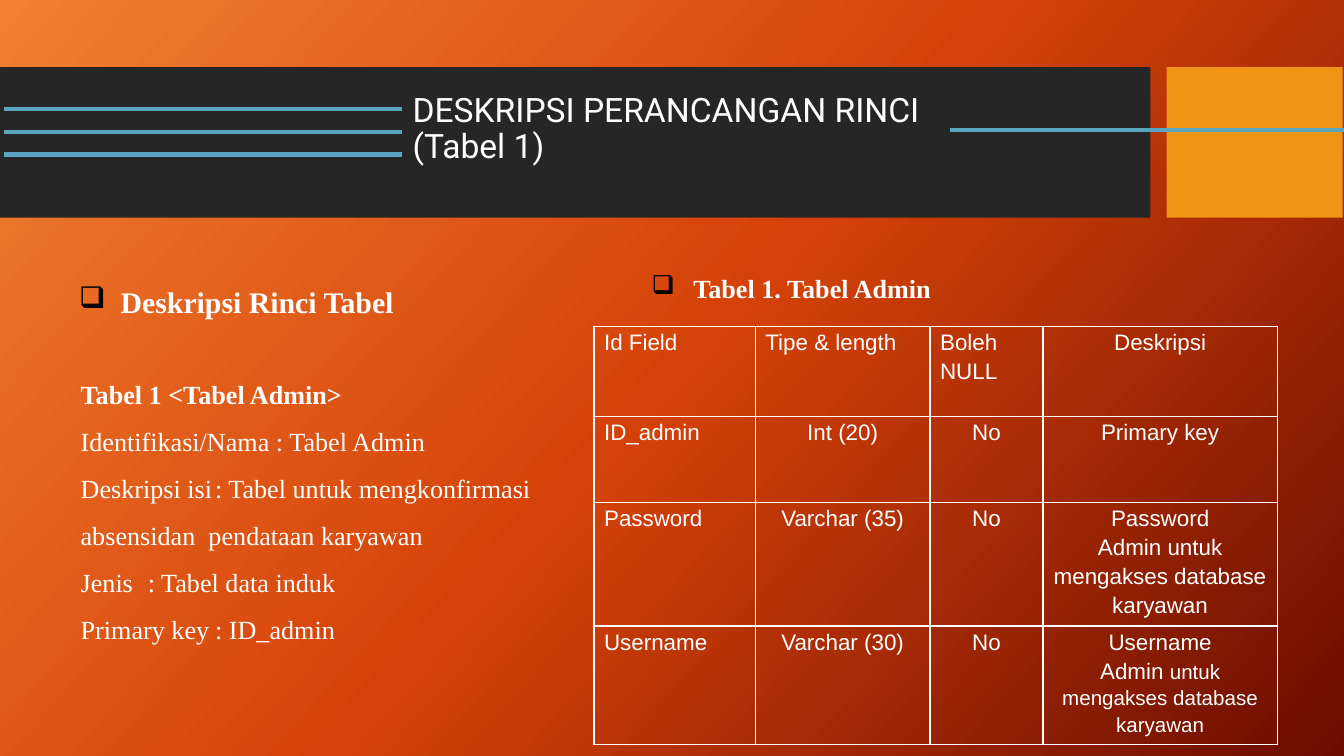
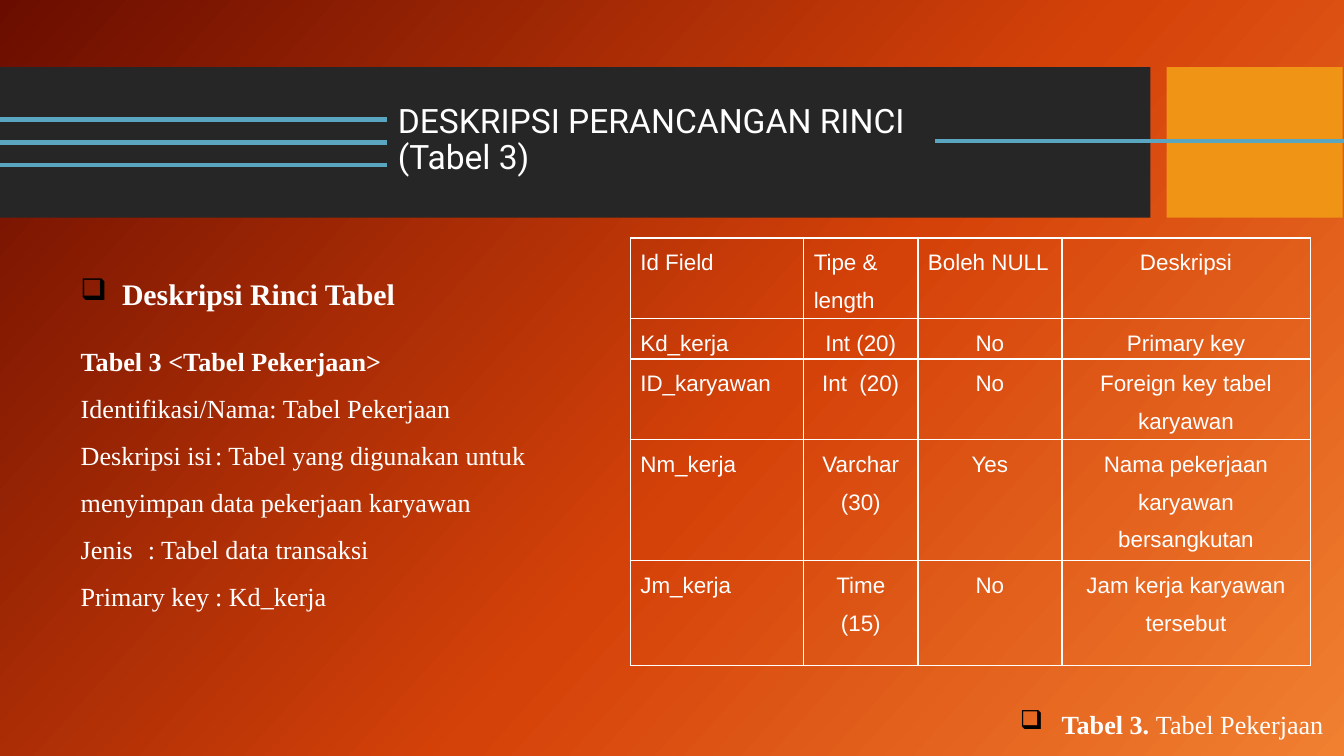
import copy

import lxml.etree
import pptx
import pptx.dml.color
import pptx.enum.shapes
import pptx.enum.text
import pptx.oxml.ns
import pptx.util

RGBColor = pptx.dml.color.RGBColor
ALIGN = pptx.enum.text.PP_ALIGN
ANCHOR = pptx.enum.text.MSO_ANCHOR
FIT = pptx.enum.text.MSO_AUTO_SIZE
qn = pptx.oxml.ns.qn

WHITE = RGBColor(0xFF, 0xFF, 0xFF)
CHARCOAL = RGBColor(0x26, 0x26, 0x26)
AMBER = RGBColor(0xF0, 0x94, 0x15)
SKY = RGBColor(0x5A, 0xA6, 0xC0)
MAROON = RGBColor(0x6A, 0x0D, 0x00)
RUST = RGBColor(0xD5, 0x42, 0x09)
ORANGE = RGBColor(0xF1, 0x80, 0x31)
SERIF = "Times New Roman"
HARD_SPACE = chr(160)

deck = pptx.Presentation()
deck.slide_width = pptx.util.Inches(10)
deck.slide_height = deck.slide_width * 9 // 16
COLUMN = deck.slide_width / 100


def grid(*cells):
    return [pptx.util.Emu(round(cell * COLUMN)) for cell in cells]


def write(paragraph, text, size=14, font=SERIF, bold=False, align=ALIGN.LEFT, spacing=1.0):
    paragraph.alignment = align
    paragraph.line_spacing = spacing
    paragraph.space_before = pptx.util.Pt(0)
    run = paragraph.add_run()
    run.text = text
    run.font.size = pptx.util.Pt(size)
    run.font.name = font
    run.font.bold = bold
    run.font.color.rgb = WHITE


# Each caption: left, top, width, height, size, bold text, plain text
topics = [
    {
        "gradient": [(0, ORANGE), (0.5, RUST), (1, MAROON)],
        "heading": ["DESKRIPSI PERANCANGAN RINCI", "(Tabel 1)"],
        "heading_at": (29.7, 5.6),
        "captions": [
            (4.9, 20.6, 26, 3.7, 16, "Deskripsi Rinci Tabel", ""),
            (47.5, 19.8, 23.5, 3.4, 14, "Tabel 1. Tabel Admin", ""),
        ],
        "details_at": (5, 26.5, 37.1, 22.2),
        "details": [
            "Tabel 1 <Tabel Admin>",
            "Identifikasi/Nama : Tabel Admin",
            "Deskripsi isi\t: Tabel untuk mengkonfirmasi",
            "absensidan  pendataan karyawan",
            "Jenis\t: Tabel data induk",
            "Primary key\t: ID_admin",
        ],
        "fields_at": (44.2, 24.3),
        "widths": (12, 13, 8.4, 17.45),
        "heights": (6.7, 6.4, 6.4, 6.4),
        "spacing": 1.15,
        "fields": [
            ["Id Field", "Tipe & length", "Boleh NULL", "Deskripsi"],
            ["ID_admin", "Int (20)", "No", "Primary key"],
            ["Password", "Varchar (35)", "No",
             f"Password Admin{HARD_SPACE}untuk mengakses database karyawan"],
            ["Username", "Varchar (30)", "No",
             f"Username Admin{HARD_SPACE}|untuk mengakses database karyawan"],
        ],
    },
    {
        "gradient": [(0, MAROON), (0.56, RUST), (1, ORANGE)],
        "heading": ["DESKRIPSI PERANCANGAN RINCI", "(Tabel 3)"],
        "heading_at": (28.6, 6.4),
        "captions": [
            (5, 20, 26, 3.7, 16, "Deskripsi Rinci Tabel", ""),
            (74.9, 52.2, 25.1, 3.4, 14, "Tabel 3. ", "Tabel Pekerjaan"),
        ],
        "details_at": (5, 24, 36.9, 25.7),
        "details": [
            "Tabel 3 <Tabel Pekerjaan>",
            "Identifikasi/Nama: Tabel Pekerjaan",
            "Deskripsi isi\t: Tabel yang digunakan untuk menyimpan data pekerjaan karyawan",
            "Jenis\t: Tabel data transaksi",
            "Primary key\t: Kd_kerja",
        ],
        "fields_at": (46.9, 17.7),
        "widths": (12.9, 8.5, 10.7, 18.5),
        "heights": (5.1, 2.5, 5.1, 7.8, 7.8),
        "spacing": 1.5,
        "fields": [
            ["Id Field", "Tipe & length", "Boleh NULL", "Deskripsi"],
            ["Kd_kerja", "Int (20)", "No", "Primary key"],
            ["ID_karyawan", "Int  (20)", "No", "Foreign key tabel karyawan"],
            ["Nm_kerja", "Varchar (30)", "Yes", "Nama pekerjaan karyawan bersangkutan"],
            ["Jm_kerja", "Time (15)", "No", "Jam kerja karyawan tersebut"],
        ],
    },
]

layout = deck.slide_layouts[1]
slides = [deck.slides.add_slide(layout) for _ in topics]

# The bands belong to the layout, so both slides inherit them
for number, (left, width, color) in enumerate([(0, 85.6, CHARCOAL), (86.8, 13.1, AMBER)]):
    band = slides[0].shapes.add_shape(
        pptx.enum.shapes.MSO_SHAPE.RECTANGLE, *grid(left, 5, width, 11.2))
    band.shadow.inherit = False
    band.fill.solid()
    band.fill.fore_color.rgb = color
    band.line.fill.background()
    band.element.nvSpPr.cNvPr.set("id", str(20 + number))
    layout.shapes.element.append(band.element)

for slide, topic in zip(slides, topics):
    backdrop = slide.background.fill
    backdrop.gradient()
    backdrop.gradient_angle = 360 - 42
    stops = slide.element.find(".//" + qn("a:gsLst"))
    stops.append(copy.deepcopy(stops[0]))
    for stop, (position, color) in zip(backdrop.gradient_stops, topic["gradient"]):
        stop.position = position
        stop.color.rgb = color

    heading, details = slide.placeholders
    x, y = topic["heading_at"]
    heading.left, heading.top, heading.width, heading.height = grid(x, y, 41.3, 8.1)
    frame = heading.text_frame
    frame.auto_size = FIT.NONE
    frame.vertical_anchor = ANCHOR.MIDDLE
    frame.margin_top = frame.margin_bottom = grid(1)[0]
    for number, line in enumerate(topic["heading"]):
        if number:
            frame.paragraphs[0].add_line_break()
        write(frame.paragraphs[0], line, size=18, font="Roboto", spacing=0.9)

    for start, end, drop in [(41, 71.5, 4.1), (-29.4, 0.2, 5.9), (-29.4, 0.2, 2.5), (-29.4, 0.2, 4.2)]:
        stripe = slide.shapes.add_connector(
            pptx.enum.shapes.MSO_CONNECTOR.STRAIGHT, *grid(x + start, y + drop, x + end, y + drop))
        stripe.line.color.rgb = SKY
        stripe.line.width = pptx.util.Pt(2.25)
        lxml.etree.SubElement(stripe.element.spPr, qn("a:effectLst"))

    for left, top, width, height, size, strong, plain in topic["captions"]:
        caption = slide.shapes.add_textbox(*grid(left, top, width, height))
        caption.text_frame.word_wrap = False
        caption.text_frame.auto_size = FIT.SHAPE_TO_FIT_TEXT
        paragraph = caption.text_frame.paragraphs[0]
        write(paragraph, strong, size=size, bold=True)
        if plain:
            write(paragraph, plain, size=size)
        bullet = paragraph._p.get_or_add_pPr()
        indent = grid(3.1)[0]
        bullet.set("marL", str(indent))
        bullet.set("indent", str(-indent))
        tint = lxml.etree.SubElement(bullet, qn("a:buClr"))
        lxml.etree.SubElement(tint, qn("a:srgbClr"), val="000000")
        lxml.etree.SubElement(bullet, qn("a:buChar"), char="❑")

    details.left, details.top, details.width, details.height = grid(*topic["details_at"])
    frame = details.text_frame
    frame.auto_size = FIT.NONE
    for number, line in enumerate(topic["details"]):
        paragraph = frame.add_paragraph() if number else frame.paragraphs[0]
        write(paragraph, line, bold=number == 0, spacing=1.5)
        plain_list = paragraph._p.get_or_add_pPr()
        plain_list.set("marL", "0")
        plain_list.set("indent", "0")
        lxml.etree.SubElement(plain_list, qn("a:buNone"))
        if "\t" in line:
            tabs = lxml.etree.SubElement(plain_list, qn("a:tabLst"))
            lxml.etree.SubElement(tabs, qn("a:tab"), pos=str(grid(10)[0]), algn="l")

    widths, heights = topic["widths"], topic["heights"]
    fields = slide.shapes.add_table(
        len(heights), len(widths), *grid(*topic["fields_at"], sum(widths), sum(heights))).table
    fields.first_row = fields.horz_banding = False
    for column, width in zip(fields.columns, grid(*widths)):
        column.width = width
    for row, height in zip(fields.rows, grid(*heights)):
        row.height = height
    for r, texts in enumerate(topic["fields"]):
        for c, text in enumerate(texts):
            cell = fields.cell(r, c)
            cell.fill.background()
            cell.margin_left = cell.margin_right = grid(0.75)[0]
            cell.margin_top = cell.margin_bottom = 0
            left_side = c == 0 or (r == 0 and c < 3)
            for size, part in zip((12, 11), text.split("|")):
                write(cell.text_frame.paragraphs[0], part, size=size, font="Arial",
                      align=ALIGN.LEFT if left_side else ALIGN.CENTER, spacing=topic["spacing"])
            for position, side in enumerate(("a:lnL", "a:lnR", "a:lnT", "a:lnB")):
                border = lxml.etree.Element(qn(side), w=str(pptx.util.Pt(1)))
                paint = lxml.etree.SubElement(border, qn("a:solidFill"))
                lxml.etree.SubElement(paint, qn("a:srgbClr"), val=str(WHITE))
                cell._tc.get_or_add_tcPr().insert(position, border)

deck.save("out.pptx")
